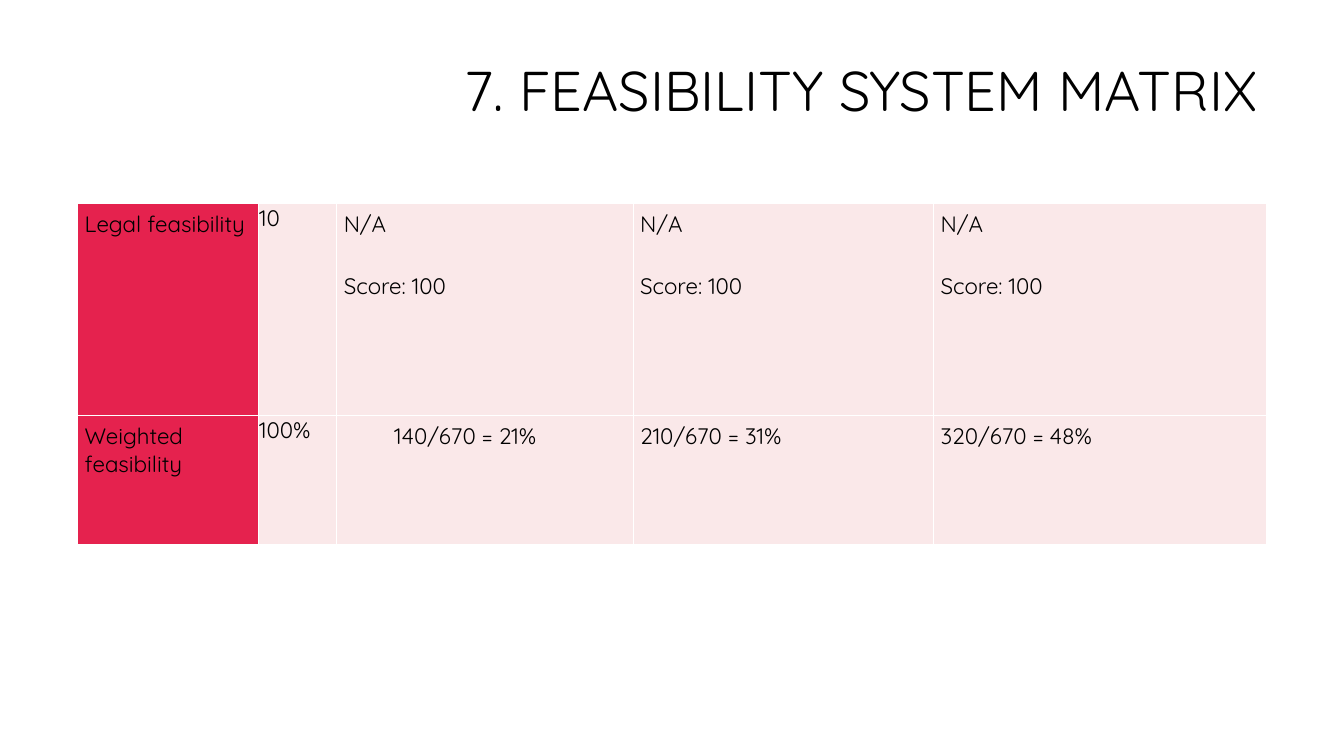
import pptx
import pptx.util
import pptx.dml.color
import pptx.enum.text
import pptx.oxml.ns
import lxml.etree

COLORS = {"ink": "000000", "paper": "FFFFFF", "label": "E5224E", "body": "FAE8E9"}
FONT = "Quicksand"
PARAGRAPH_GAP = 12
CELL_INSET = 0.07
WEIGHT_INSET = 0.01


def rgb(name):
    return pptx.dml.color.RGBColor.from_string(COLORS[name])


def write(frame, text, size=16, align=pptx.enum.text.PP_ALIGN.LEFT, spacing=1.0, indent=0):
    for index, line in enumerate(text.split("\n")):
        paragraph = frame.paragraphs[0] if index == 0 else frame.add_paragraph()
        if indent:
            properties = paragraph._p.get_or_add_pPr()
            properties.set("marL", str(pptx.util.Inches(indent)))
            properties.set("indent", "0")
        paragraph.alignment = align
        paragraph.line_spacing = spacing
        paragraph.space_before = pptx.util.Pt(PARAGRAPH_GAP if index else 0)
        paragraph.space_after = pptx.util.Pt(PARAGRAPH_GAP if index < text.count("\n") else 0)
        run = paragraph.add_run()
        run.text = line
        run.font.name = FONT
        run.font.size = pptx.util.Pt(size)
        run.font.color.rgb = rgb("ink")


class MatrixSlide:
    def __init__(self, deck):
        self.width, self.height = deck.slide_width, deck.slide_height
        self.slide = deck.slides.add_slide(deck.slide_layouts[5])
        self.slide.background.fill.solid()
        self.slide.background.fill.fore_color.rgb = rgb("paper")

    def place(self, left, top, width, height):
        return (int(left * self.width), int(top * self.height),
                int(width * self.width), int(height * self.height))

    def title(self, text, area):
        heading = self.slide.shapes.title
        heading.left, heading.top, heading.width, heading.height = self.place(*area)
        frame = heading.text_frame
        frame.word_wrap = True
        frame.auto_size = pptx.enum.text.MSO_AUTO_SIZE.NONE
        frame.vertical_anchor = pptx.enum.text.MSO_ANCHOR.MIDDLE
        write(frame, text, size=40, align=pptx.enum.text.PP_ALIGN.RIGHT, spacing=0.9)

    def cell_borders(self, cell):
        properties = cell._tc.get_or_add_tcPr()
        qn = pptx.oxml.ns.qn
        for position, side in enumerate(("a:lnL", "a:lnR", "a:lnT", "a:lnB")):
            line = lxml.etree.Element(qn(side), w=str(pptx.util.Pt(1)))
            fill = lxml.etree.SubElement(line, qn("a:solidFill"))
            lxml.etree.SubElement(fill, qn("a:srgbClr"), val=COLORS["paper"])
            properties.insert(position, line)

    def matrix(self, rows, area, column_shares, row_shares, indents):
        left, top, width, height = self.place(*area)
        table = self.slide.shapes.add_table(
            len(rows), len(column_shares), left, top, width, height).table
        table.first_row = table.horz_banding = False
        for column, share in zip(table.columns, column_shares):
            column.width = int(width * share)
        for row, share in zip(table.rows, row_shares):
            row.height = int(height * share)
        for r, texts in enumerate(rows):
            for c, text in enumerate(texts):
                cell = table.cell(r, c)
                inset = pptx.util.Inches(WEIGHT_INSET if c == 1 else CELL_INSET)
                cell.margin_left = cell.margin_right = inset
                cell.margin_top = cell.margin_bottom = inset
                cell.fill.solid()
                cell.fill.fore_color.rgb = rgb("body" if c else "label")
                self.cell_borders(cell)
                write(cell.text_frame, text, indent=indents.get((r, c), 0))


def main():
    deck = pptx.Presentation()
    deck.slide_width = pptx.util.Inches(13.33)
    deck.slide_height = pptx.util.Inches(7.5)
    feasibility = MatrixSlide(deck)
    feasibility.title("7. FEASIBILITY SYSTEM MATRIX",
                      (3.15 / 13.33, 0.22 / 7.5, 9.42 / 13.33, 1.41 / 7.5))
    legal = ["Legal feasibility", "10"] + ["N/A\nScore: 100"] * 3
    weighted = ["Weighted feasibility", "100%",
                "140/670 = 21%", "210/670 = 31%", "320/670 = 48%"]
    feasibility.matrix(
        [legal, weighted],
        (0.77 / 13.33, 2.02 / 7.5, 11.79 / 13.33, 3.38 / 7.5),
        [inches / 11.79 for inches in (1.79, 0.78, 2.94, 2.98, 3.3)],
        [inches / 3.38 for inches in (2.1, 1.28)],
        {(1, 2): 0.5})
    deck.save("out.pptx")


if __name__ == "__main__":
    main()
